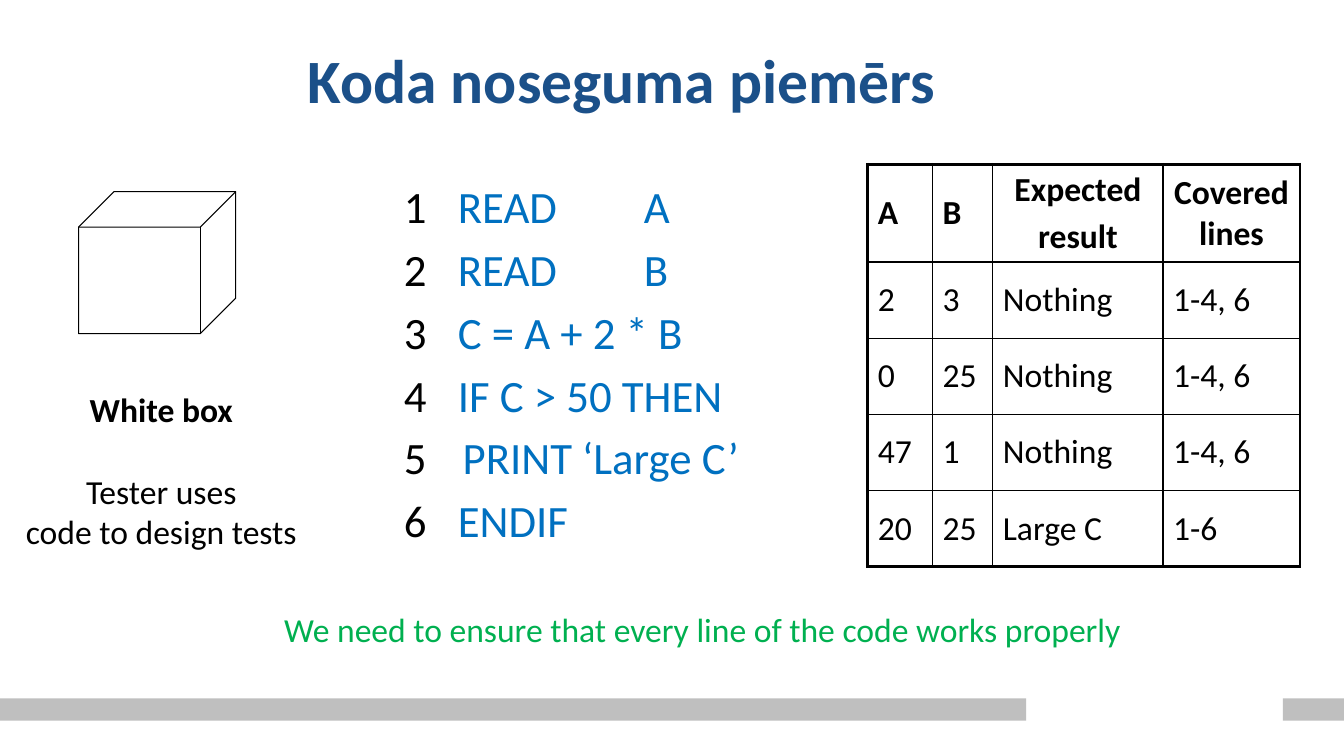
"""Build the slide on code coverage with its sample program and test table."""
from typing import NamedTuple

from lxml import etree
from pptx import Presentation
from pptx.dml import color
from pptx.enum import shapes, text
from pptx.oxml import ns
from pptx.util import Cm, Pt

BLACK = color.RGBColor(0x00, 0x00, 0x00)
NAVY = color.RGBColor(0x1B, 0x50, 0x89)
BLUE = color.RGBColor(0x00, 0x70, 0xC0)
GREEN = color.RGBColor(0x00, 0xB0, 0x50)
GREY = color.RGBColor(0xBF, 0xBF, 0xBF)
LEFT, MID = text.PP_ALIGN.LEFT, text.PP_ALIGN.CENTER
HALFWAY = text.MSO_ANCHOR.MIDDLE
THIN, THICK = Pt(1), Pt(2.25)


class Box(NamedTuple):
    left: float
    top: float
    width: float
    height: float


class Code(NamedTuple):
    words: str
    start: float = 1.36


BARS = [Box(0, 17.6, 25.86, 0.56), Box(32.33, 17.6, 1.54, 0.56)]
CODE = [
    Code("READ\tA"),
    Code("READ\tB"),
    Code("C = A + 2 * B"),
    Code("IF C > 50 THEN"),
    Code("PRINT ‘Large C’", 1.48),
    Code("ENDIF"),
]
VALUE_TAB = 6.05
HEADS = ["A", "B", "Expected\nresult", "Covered lines"]
TESTS = [
    ["2", "3", "Nothing", "1-4, 6"],
    ["0", "25", "Nothing", "1-4, 6"],
    ["47", "1", "Nothing", "1-4, 6"],
    ["20", "25", "Large C", "1-6"],
]
WIDTHS = [1.63, 1.52, 4.29, 3.45]
HEAD_TALL, ROW_TALL = 2.46, 1.92


def place(box: Box) -> list:
    return [Cm(side) for side in box]


def add_run(para, words: str, size: float = 24, tint=BLACK, bold: bool = False) -> None:
    run = para.add_run()
    run.text = words
    font = run.font
    font.name, font.size, font.bold = "Calibri", Pt(size), bold
    font.color.rgb = tint


def write(frame, words: str, align=MID, gap: float = 0, new: bool = False,
          lines: float = 1, **style) -> None:
    """Write one paragraph per line of words, with the gap above all but the first."""
    for spot, line in enumerate(words.split("\n")):
        fresh = new or spot > 0
        para = frame.add_paragraph() if fresh else frame.paragraphs[0]
        para.alignment, para.line_spacing = align, lines
        para.space_before = Pt(gap if fresh else 0)
        add_run(para, line, **style)


def add_frame(slide, box: Box):
    frame = slide.shapes.add_textbox(*place(box)).text_frame
    frame.word_wrap = True
    return frame


def add_form(slide, kind, box: Box):
    form = slide.shapes.add_shape(kind, *place(box))
    form.shadow.inherit = False
    return form


def set_tabs(para, stops: list[float]) -> None:
    tabs = etree.SubElement(para._p.get_or_add_pPr(), ns.qn("a:tabLst"))
    for stop in stops:
        etree.SubElement(tabs, ns.qn("a:tab"), pos=str(Cm(stop)), algn="l")


def add_code(slide, box: Box) -> None:
    frame = add_frame(slide, box)
    for count, line in enumerate(CODE, 1):
        write(frame, f"{count}\t", align=LEFT, gap=6.4, new=count > 1, size=32)
        para = frame.paragraphs[-1]
        add_run(para, line.words, size=32, tint=BLUE)
        set_tabs(para, [line.start, VALUE_TAB])


def add_edge(cell, side: str, width: int) -> None:
    edge = etree.SubElement(cell._tc.get_or_add_tcPr(), ns.qn(f"a:ln{side}"), w=str(width))
    fill = etree.SubElement(edge, ns.qn("a:solidFill"))
    etree.SubElement(fill, ns.qn("a:srgbClr"), val=str(BLACK))


def add_grid(slide, left: float, top: float) -> None:
    rows = [HEADS, *TESTS]
    talls = [HEAD_TALL] + [ROW_TALL] * len(TESTS)
    box = Box(left, top, sum(WIDTHS), sum(talls))
    grid = slide.shapes.add_table(len(rows), len(WIDTHS), *place(box)).table
    grid.first_row = grid.horz_banding = False
    for col, width in zip(grid.columns, WIDTHS):
        col.width = Cm(width)
    for y, (row, tall) in enumerate(zip(rows, talls)):
        grid.rows[y].height = Cm(tall)
        for x, words in enumerate(row):
            cell = grid.cell(y, x)
            outer = {"L": x == 0, "R": x == len(row) - 1,
                     "T": y == 0, "B": y == len(rows) - 1}
            for side, rim in outer.items():
                add_edge(cell, side, THICK if rim else THIN)
            cell.fill.background()
            cell.vertical_anchor = HALFWAY
            align = MID if y == 0 and x > 1 else LEFT
            write(cell.text_frame, words, align=align, gap=4.8, bold=y == 0)


def main() -> None:
    deck = Presentation()
    deck.slide_width, deck.slide_height = Cm(33.87), Cm(19.05)
    slide = deck.slides.add_slide(deck.slide_layouts[6])

    for box in BARS:
        bar = add_form(slide, shapes.MSO_SHAPE.RECTANGLE, box)
        bar.fill.solid()
        bar.fill.fore_color.rgb = GREY
        bar.line.fill.background()

    add_code(slide, Box(9.93, 4.39, 10.16, 10.34))
    note = add_frame(slide, Box(3.71, 15.21, 27.99, 1.27))
    write(note, "We need to ensure that every line of the code works properly", tint=GREEN)
    add_grid(slide, 21.87, 4.14)

    title = add_frame(slide, Box(1.07, 1.02, 29.21, 2.16))
    title.vertical_anchor = HALFWAY
    write(title, "Koda noseguma piemērs", lines=0.9, size=44, tint=NAVY, bold=True)

    cube = add_form(slide, shapes.MSO_SHAPE.CUBE, Box(1.98, 4.83, 3.96, 3.58))
    cube.fill.background()
    cube.line.color.rgb, cube.line.width = BLACK, Pt(0.75)

    label = add_frame(slide, Box(0, 9.68, 8.13, 4.37))
    write(label, "White box", bold=True)
    write(label, "Tester uses", gap=29.3, new=True)
    write(label, "code to design tests", new=True)

    deck.save("out.pptx")


main()
